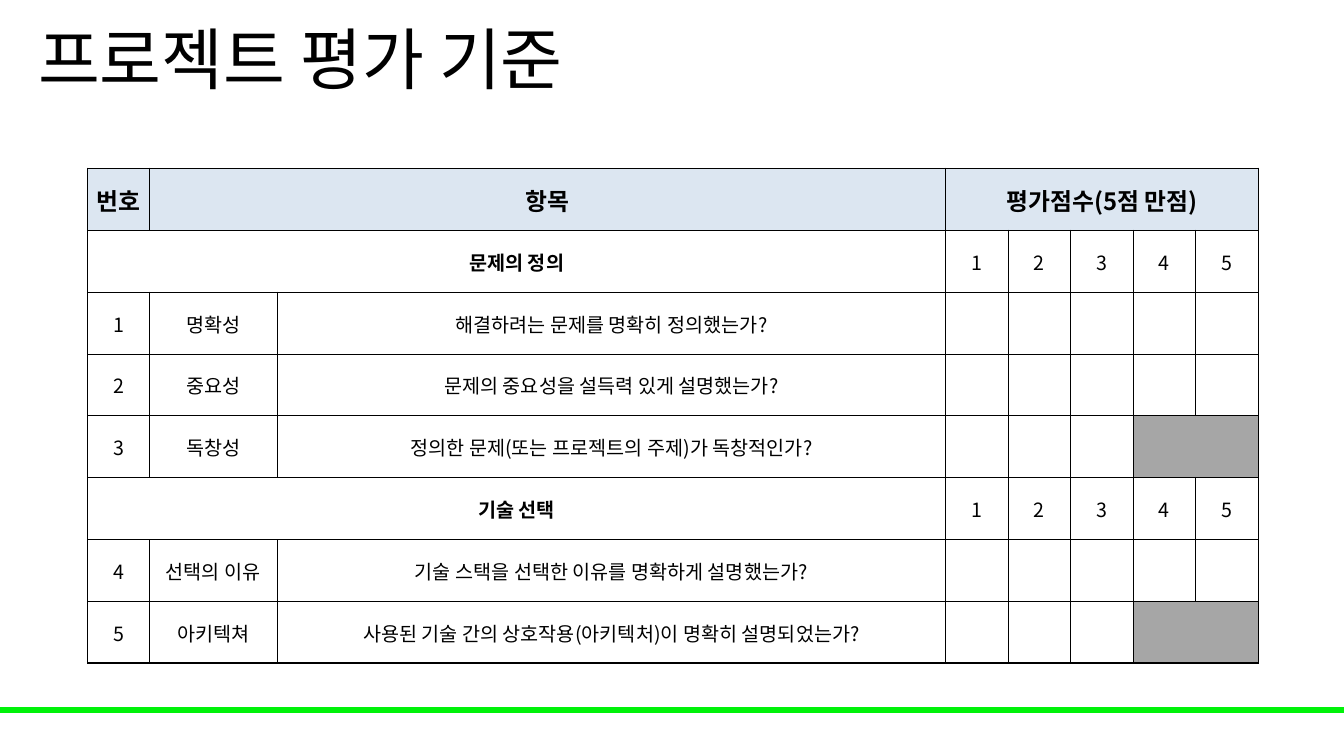
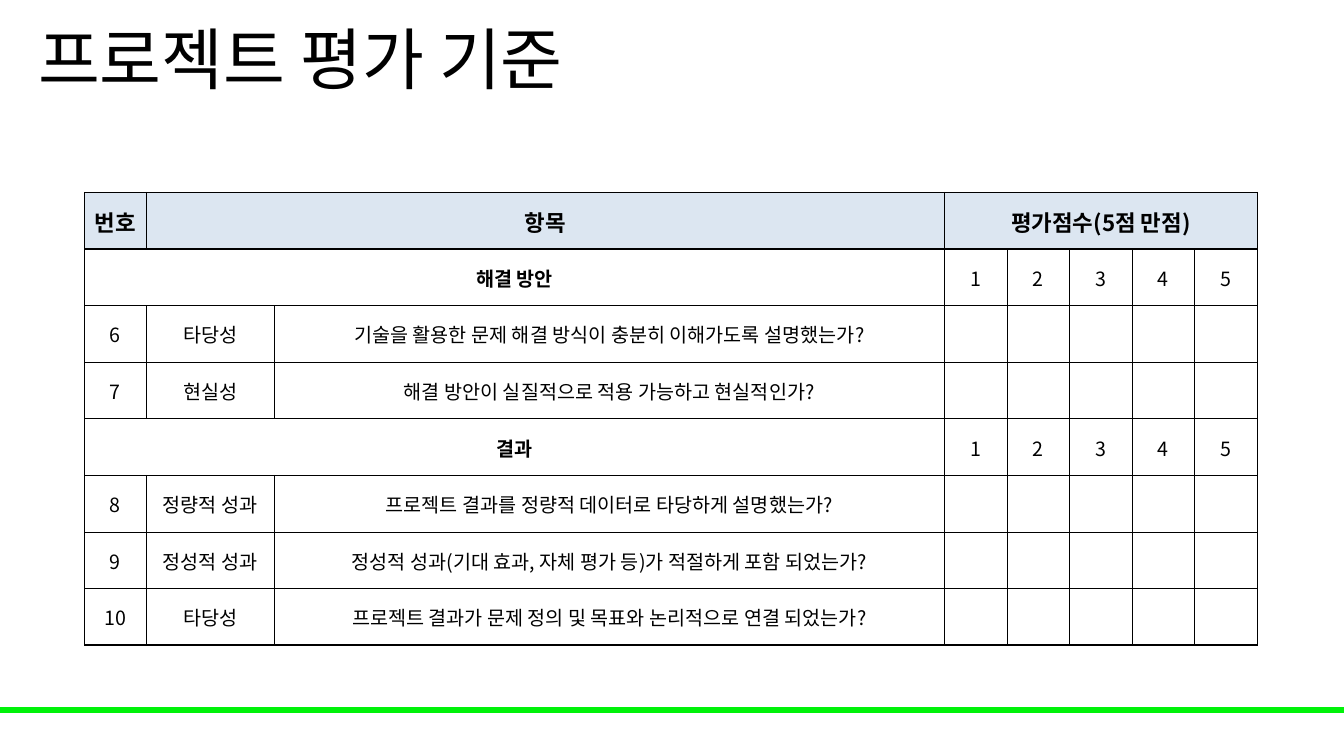
"""Build two slides of project evaluation criteria."""
from lxml import etree
from pptx import Presentation
from pptx.dml.color import RGBColor
from pptx.enum.shapes import MSO_SHAPE
from pptx.enum.text import MSO_ANCHOR, PP_ALIGN
from pptx.oxml.ns import qn
from pptx.util import Inches, Pt

RECTANGLE = MSO_SHAPE.RECTANGLE
MIDDLE = MSO_ANCHOR.MIDDLE
CENTER = PP_ALIGN.CENTER

BLACK = RGBColor(0x00, 0x00, 0x00)
GREEN = RGBColor(0x00, 0xF2, 0x09)
HEADER_BLUE = RGBColor(0xDC, 0xE6, 0xF1)
CLOSED_GRAY = RGBColor(0xA6, 0xA6, 0xA6)

FONT = "Noto Sans CJK KR"
SLIDE_W, SLIDE_H = Inches(13.33), Inches(7.5)
BLANK_LAYOUT = 6
THIN, THICK = Pt(0.5), Pt(1)
BODY_SIZE = 14
SCORES = 5
FIRST_SCORE = 3
COLUMNS = FIRST_SCORE + SCORES
NUMBER_W, ASPECT_W, SCORE_W = 0.61, 1.27, 0.62
CELL_FORMAT = {
    "vertical_anchor": MIDDLE,
    "margin_left": Inches(0.01),
    "margin_right": Inches(0.01),
    "margin_top": Inches(0.01),
    "margin_bottom": 0,
}

TITLE = "프로젝트 평가 기준"
HEADINGS = ("번호", "항목", "평가점수(5점 만점)")
PAGES = [
    {
        "left": 0.87, "top": 1.67, "question_w": 6.63, "height": 4.91,
        "header_size": 17, "first_number": 1,
        "sections": [
            ("문제의 정의", [
                ("명확성", "해결하려는 문제를 명확히 정의했는가?", 5),
                ("중요성", "문제의 중요성을 설득력 있게 설명했는가?", 5),
                ("독창성", "정의한 문제(또는 프로젝트의 주제)가 독창적인가?", 3),
            ]),
            ("기술 선택", [
                ("선택의 이유", "기술 스택을 선택한 이유를 명확하게 설명했는가?", 5),
                ("아키텍쳐", "사용된 기술 간의 상호작용(아키텍처)이 명확히 설명되었는가?", 3),
            ]),
        ],
    },
    {
        "left": 0.84, "top": 1.91, "question_w": 6.65, "height": 4.49,
        "header_size": 16, "first_number": 6,
        "sections": [
            ("해결 방안", [
                ("타당성", "기술을 활용한 문제 해결 방식이 충분히 이해가도록 설명했는가?", 5),
                ("현실성", "해결 방안이 실질적으로 적용 가능하고 현실적인가?", 5),
            ]),
            ("결과", [
                ("정량적 성과", "프로젝트 결과를 정량적 데이터로 타당하게 설명했는가?", 5),
                ("정성적 성과", "정성적 성과(기대 효과, 자체 평가 등)가 적절하게 포함 되었는가?", 5),
                ("타당성", "프로젝트 결과가 문제 정의 및 목표와 논리적으로 연결 되었는가?", 5),
            ]),
        ],
    },
]


def set_attributes(target, values):
    """Set every attribute named in a dict of format values."""
    for key, value in values.items():
        setattr(target, key, value)


def write(paragraph, text, size, bold=False):
    """Write one black run in the deck font, for Latin and Korean letters."""
    run = paragraph.add_run()
    run.text = text
    set_attributes(run.font, {"name": FONT, "size": Pt(size), "bold": bold})
    run.font.color.rgb = BLACK
    etree.SubElement(run.font._element, qn("a:ea"), typeface=FONT)


def add_frame(slide):
    """Add the green footer band and the title that all slides share."""
    band = slide.shapes.add_shape(RECTANGLE, 0, Inches(7.02), SLIDE_W, Inches(0.05))
    band.shadow.inherit = False
    band.fill.solid()
    band.fill.fore_color.rgb = GREEN
    band.line.color.rgb = GREEN
    band.line.width = Pt(1)
    title = slide.shapes.add_textbox(Inches(0.28), 0, Inches(11.5), Inches(1.25))
    set_attributes(title.text_frame, {"word_wrap": True, "vertical_anchor": MIDDLE})
    paragraph = title.text_frame.paragraphs[0]
    paragraph.line_spacing = 0.9
    write(paragraph, TITLE, 48)


def draw_borders(cell, widths):
    """Draw black cell borders from a dict of side and width."""
    properties = cell._tc.get_or_add_tcPr()
    for side, width in widths.items():
        line = etree.SubElement(properties, qn(f"a:ln{side}"), w=str(width))
        fill = etree.SubElement(line, qn("a:solidFill"))
        etree.SubElement(fill, qn("a:srgbClr"), val=str(BLACK))


def rule_table(table, section_rows):
    """Give every cell its borders: thick around the sections, thin inside."""
    thick_rows = {0, len(table.rows), *section_rows}
    for row in range(len(table.rows)):
        for column in range(COLUMNS):
            cell = table.cell(row, column)
            end = column + (cell.span_width if cell.is_merge_origin else 1)
            draw_borders(cell, {
                "L": THICK if column == 0 else THIN,
                "R": THICK if end == COLUMNS else THIN,
                "T": THICK if row in thick_rows else THIN,
                "B": THICK if row + 1 in thick_rows else THIN,
            })
            cell.fill.background()
            set_attributes(cell, CELL_FORMAT)


def fill_cell(cell, text="", size=BODY_SIZE, bold=False, color=None):
    """Centre text in a cell and colour it when a colour is given."""
    if text:
        paragraph = cell.text_frame.paragraphs[0]
        paragraph.alignment = CENTER
        write(paragraph, text, size, bold)
    if color is not None:
        cell.fill.solid()
        cell.fill.fore_color.rgb = color


def merge(table, row, first, last):
    """Merge the cells of a row from the first column to the last."""
    table.cell(row, first).merge(table.cell(row, last))


def add_criteria_table(slide, page):
    """Add the score sheet of one page."""
    entries = [entry for name, criteria in page["sections"]
               for entry in [(name,), *criteria]]
    section_rows = [row for row, entry in enumerate(entries, 1) if len(entry) == 1]
    widths = [NUMBER_W, ASPECT_W, page["question_w"]] + [SCORE_W] * SCORES
    table = slide.shapes.add_table(
        len(entries) + 1, COLUMNS, Inches(page["left"]), Inches(page["top"]),
        Inches(sum(widths)), Inches(page["height"])).table
    set_attributes(table, {"first_row": False, "horz_banding": False})
    for column, width in zip(table.columns, widths):
        column.width = Inches(width)

    merge(table, 0, 1, FIRST_SCORE - 1)
    merge(table, 0, FIRST_SCORE, COLUMNS - 1)
    for row, entry in enumerate(entries, 1):
        if row in section_rows:
            merge(table, row, 0, FIRST_SCORE - 1)
        elif entry[2] < SCORES:
            merge(table, row, FIRST_SCORE + entry[2], COLUMNS - 1)
    rule_table(table, section_rows)

    for column, heading in zip((0, 1, FIRST_SCORE), HEADINGS):
        fill_cell(table.cell(0, column), heading, page["header_size"], True, HEADER_BLUE)
    number = page["first_number"]
    for row, entry in enumerate(entries, 1):
        if row in section_rows:
            fill_cell(table.cell(row, 0), entry[0], bold=True)
            for score in range(SCORES):
                fill_cell(table.cell(row, FIRST_SCORE + score), str(score + 1))
            continue
        aspect, question, top_score = entry
        for column, text in enumerate((str(number), aspect, question)):
            fill_cell(table.cell(row, column), text)
        if top_score < SCORES:
            fill_cell(table.cell(row, FIRST_SCORE + top_score), color=CLOSED_GRAY)
        number += 1


def main():
    """Build and save the deck."""
    deck = Presentation()
    set_attributes(deck, {"slide_width": SLIDE_W, "slide_height": SLIDE_H})
    for page in PAGES:
        slide = deck.slides.add_slide(deck.slide_layouts[BLANK_LAYOUT])
        add_frame(slide)
        add_criteria_table(slide, page)
    deck.save("out.pptx")


if __name__ == "__main__":
    main()
